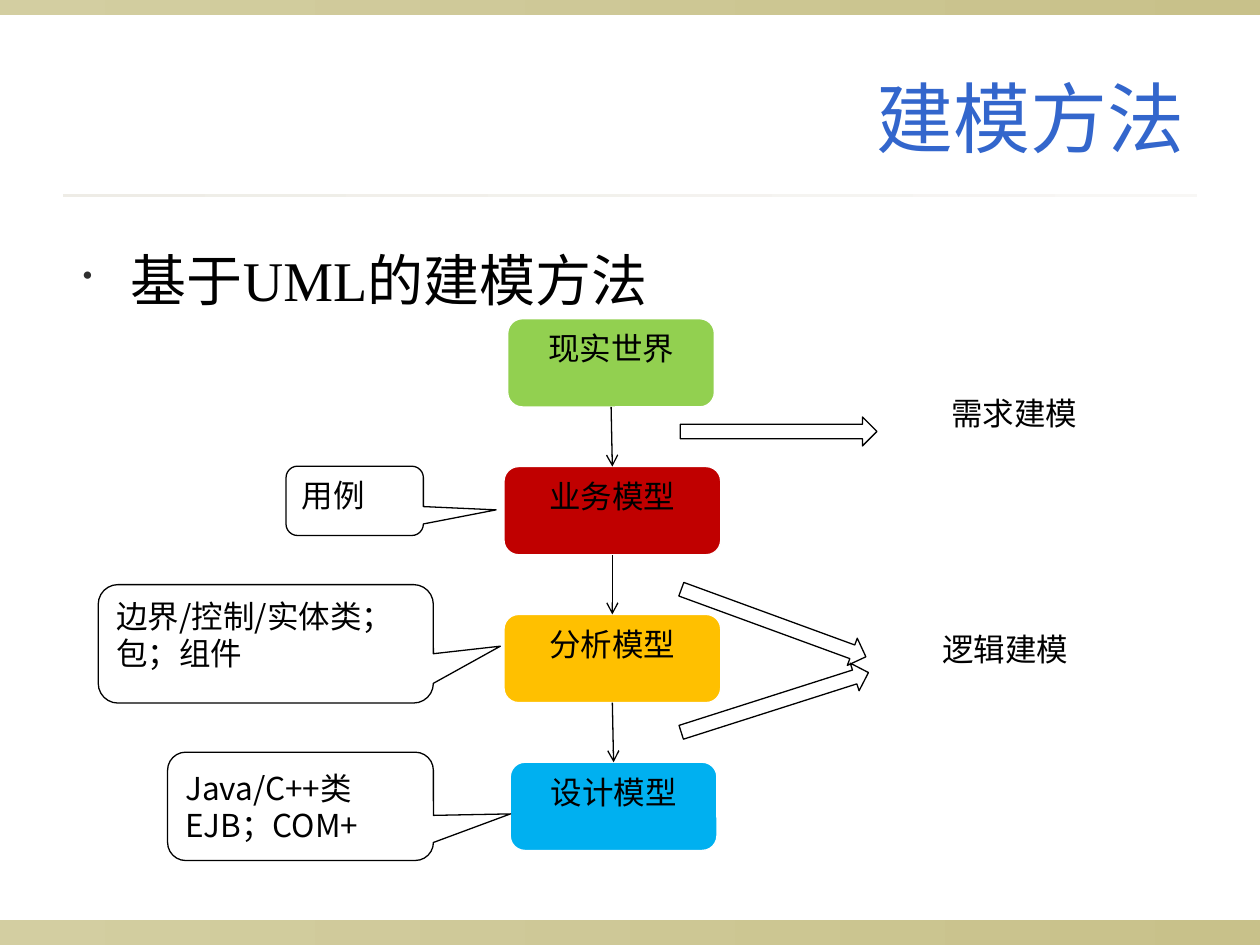
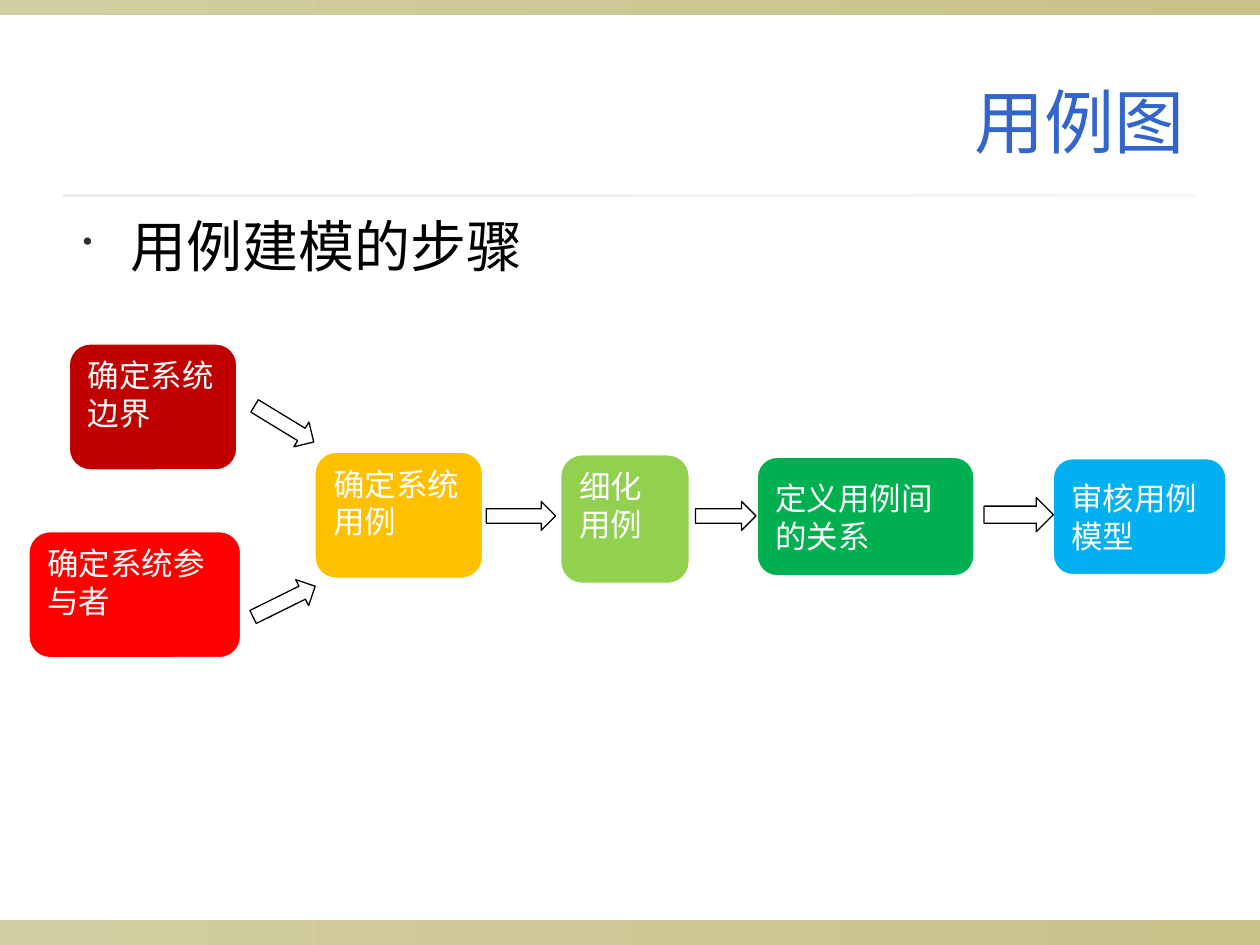
"""Build two slides on UML modelling and the steps of use case modelling."""
from dataclasses import dataclass

from lxml.etree import SubElement
from pptx import Presentation
from pptx.dml.color import RGBColor
from pptx.enum.shapes import MSO_CONNECTOR, MSO_SHAPE
from pptx.enum.text import MSO_ANCHOR, PP_ALIGN
from pptx.oxml.ns import qn
from pptx.util import Inches, Pt


@dataclass(frozen=True)
class Theme:
    """Colours, fonts and sizes used by both slides."""
    black: str = "000000"
    white: str = "FFFFFF"
    title: str = "3366CC"
    bullet: str = "2F2F2F"
    band: tuple = ("D3CEA1", "C8C18A")
    rule: tuple = ("EEECE6", "F8F7F5")
    lime: str = "92D050"
    crimson: str = "C00000"
    red: str = "FF0000"
    amber: str = "FFC000"
    green: str = "00B050"
    sky: str = "00B0F0"
    serif: str = "Times New Roman"
    heading: str = "Lato"
    cjk: str = "Noto Sans CJK SC"
    title_size: int = 44
    body_size: int = 32
    label_size: int = 18
    line_width: float = 0.75


THEME = Theme()


def rgb(value):
    """Turn a hex string into a colour."""
    return RGBColor.from_string(value)


def write(s, text, size=THEME.label_size, font=THEME.cjk, color=THEME.black,
          align=PP_ALIGN.LEFT, anchor=MSO_ANCHOR.TOP, wrap=True, bullet=False):
    """Write one paragraph per line of text into a shape."""
    tf = s.text_frame
    tf.word_wrap = wrap
    tf.vertical_anchor = anchor
    for i, line in enumerate(text.split("\n")):
        p = tf.add_paragraph() if i else tf.paragraphs[0]
        p.alignment = align
        if bullet:
            add_bullet(p)
        r = p.add_run()
        r.text = line
        r.font.size = Pt(size)
        r.font.name = font
        r.font.color.rgb = rgb(color)
        SubElement(r.font._element, qn("a:ea"), typeface=THEME.cjk)


def add_bullet(p):
    """Give a paragraph a small round bullet and a hanging indent."""
    pPr = p._p.get_or_add_pPr()
    indent = Inches(0.38)
    pPr.set("marL", str(indent))
    pPr.set("indent", str(-indent))
    color = SubElement(pPr, qn("a:buClr"))
    SubElement(color, qn("a:srgbClr"), val=THEME.bullet)
    SubElement(pPr, qn("a:buSzPct"), val="50000")
    SubElement(pPr, qn("a:buChar"), char="•")


class Deck:
    """Holds the presentation, its theme and the current slide."""

    def __init__(self, theme):
        """Start an empty 4:3 presentation."""
        self.theme = theme
        self.prs = Presentation()
        self.prs.slide_width = Inches(10)
        self.prs.slide_height = Inches(7.5)
        self.slide = None

    def new_slide(self, title, top, size, font):
        """Add a slide with its bands, rule and title."""
        self.slide = self.prs.slides.add_slide(self.prs.slide_layouts[6])
        self.band(0, 7.3, 10, 0.2, self.theme.band)
        self.band(0, 0, 10, 0.12, self.theme.band)
        self.band(0.5, 1.54, 9, 0.02, self.theme.rule)
        self.text(title, 0.5, top, 9, 1.25, size=size, font=font, color=self.theme.title,
                  align=PP_ALIGN.RIGHT, anchor=MSO_ANCHOR.MIDDLE)

    def shape(self, kind, x, y, w, h):
        """Add a preset shape without a shadow."""
        s = self.slide.shapes.add_shape(kind, Inches(x), Inches(y), Inches(w), Inches(h))
        s.shadow.inherit = False
        return s

    def band(self, x, y, w, h, colors):
        """Add a strip that fades from left to right."""
        s = self.shape(MSO_SHAPE.RECTANGLE, x, y, w, h)
        s.line.fill.background()
        s.fill.gradient()
        s.fill.gradient_angle = 0
        for stop, color in zip(s.fill.gradient_stops, colors):
            stop.color.rgb = rgb(color)

    def solid(self, kind, x, y, w, h, fill, line):
        """Add a shape with a plain fill and a thin outline."""
        s = self.shape(kind, x, y, w, h)
        s.fill.solid()
        s.fill.fore_color.rgb = rgb(fill)
        s.line.color.rgb = rgb(line)
        s.line.width = Pt(self.theme.line_width)
        return s

    def text(self, text, x, y, w, h, **style):
        """Add a text box."""
        s = self.slide.shapes.add_textbox(Inches(x), Inches(y), Inches(w), Inches(h))
        write(s, text, **style)

    def point(self, text, y, h):
        """Add the bulleted line under the title."""
        self.text(text, 0.56, y, 8.5, h, size=self.theme.body_size,
                  font=self.theme.serif, bullet=True)

    def box(self, text, x, y, w, h, fill, **style):
        """Add a coloured rounded box."""
        s = self.solid(MSO_SHAPE.ROUNDED_RECTANGLE, x, y, w, h, fill, self.theme.white)
        write(s, text, **style)
        return s

    def callout(self, text, x, y, w, h, tip, **style):
        """Add a rounded callout whose tip is relative to its centre."""
        s = self.solid(MSO_SHAPE.ROUNDED_RECTANGULAR_CALLOUT, x, y, w, h,
                       self.theme.white, self.theme.black)
        s.adjustments[0], s.adjustments[1] = tip
        write(s, text, **style)

    def block_arrow(self, x, y, w, h=0.23, turn=0):
        """Add an outlined block arrow turned by some degrees."""
        s = self.solid(MSO_SHAPE.RIGHT_ARROW, x, y, w, h, self.theme.white, self.theme.black)
        s.rotation = turn

    def connect(self, upper, lower):
        """Draw an arrow from the bottom of one box to the top of the next."""
        c = self.slide.shapes.add_connector(MSO_CONNECTOR.STRAIGHT, 0, 0, 0, 0)
        c.begin_connect(upper, 2)
        c.end_connect(lower, 0)
        c.line.color.rgb = rgb(self.theme.black)
        c.line.width = Pt(self.theme.line_width)
        SubElement(c.line._get_or_add_ln(), qn("a:tailEnd"), type="arrow")
        SubElement(c._element.spPr, qn("a:effectLst"))


def modelling_method(deck):
    """Show the chain of models from the real world to design."""
    t = deck.theme
    deck.new_slide("建模方法", 0.3, t.title_size, t.serif)
    deck.point("基于UML的建模方法", 1.9, 5.17)

    first_top, last_top = 2.53, 6.05
    models = [("现实世界", 4.03, 1.64, t.lime), ("业务模型", 4, 1.72, t.crimson),
              ("分析模型", 4, 1.72, t.amber), ("设计模型", 4.05, 1.64, t.sky)]
    pitch = (last_top - first_top) / (len(models) - 1)
    boxes = [deck.box(name, x, first_top + i * pitch, w, 0.7, fill, align=PP_ALIGN.CENTER)
             for i, (name, x, w, fill) in enumerate(models)]
    for upper, lower in zip(boxes, boxes[1:]):
        deck.connect(upper, lower)

    for x, y, turn in [(5.4, 3.31, 0), (5.36, 4.83, 20.1), (5.37, 5.46, 342.3)]:
        deck.block_arrow(x, y, 1.56, turn=turn)
    for name, x, y in [("需求建模", 7.45, 3.08), ("逻辑建模", 7.38, 4.95)]:
        deck.text(name, x, y, 1.2, 0.4, wrap=False)

    deck.callout("用例", 2.27, 3.7, 1.09, 0.55, (1.03, 0.13))
    deck.callout("边界/控制/实体类；包；组件", 0.78, 4.64, 2.66, 0.94, (0.7, 0.02))
    deck.callout("Java/C++类\nEJB；COM+", 1.33, 5.97, 2.11, 0.86, (0.79, 0.07),
                 anchor=MSO_ANCHOR.MIDDLE)


def use_case_steps(deck):
    """Show the steps of use case modelling as a flow."""
    t = deck.theme
    deck.new_slide("用例图", 0.33, t.title_size - 4, t.heading)
    deck.point("用例建模的步骤", 1.63, 1.18)

    top, middle = MSO_ANCHOR.TOP, MSO_ANCHOR.MIDDLE
    steps = [("确定系统边界", 0.55, 2.73, 1.33, 1, t.crimson, top),
             ("确定系统参与者", 0.23, 4.22, 1.68, 1, t.red, top),
             ("确定系统用例", 2.5, 3.59, 1.33, 1, t.amber, top),
             ("细化用例", 4.45, 3.61, 1.02, 1.02, t.lime, top),
             ("定义用例间的关系", 6.01, 3.63, 1.72, 0.94, t.green, middle),
             ("审核用例模型", 8.36, 3.64, 1.37, 0.92, t.sky, middle)]
    for *place, anchor in steps:
        deck.box(*place, color=t.white, anchor=anchor)

    for x, y, w, h, turn in [(3.86, 3.98, 0.55, 0.23, 0), (7.81, 3.95, 0.55, 0.27, 0),
                             (5.52, 3.98, 0.48, 0.23, 0), (1.98, 3.25, 0.55, 0.23, 31.4),
                             (1.98, 4.66, 0.55, 0.23, 333.7)]:
        deck.block_arrow(x, y, w, h, turn)


def main():
    """Build and save the presentation."""
    deck = Deck(THEME)
    modelling_method(deck)
    use_case_steps(deck)
    deck.prs.save("out.pptx")


if __name__ == "__main__":
    main()
